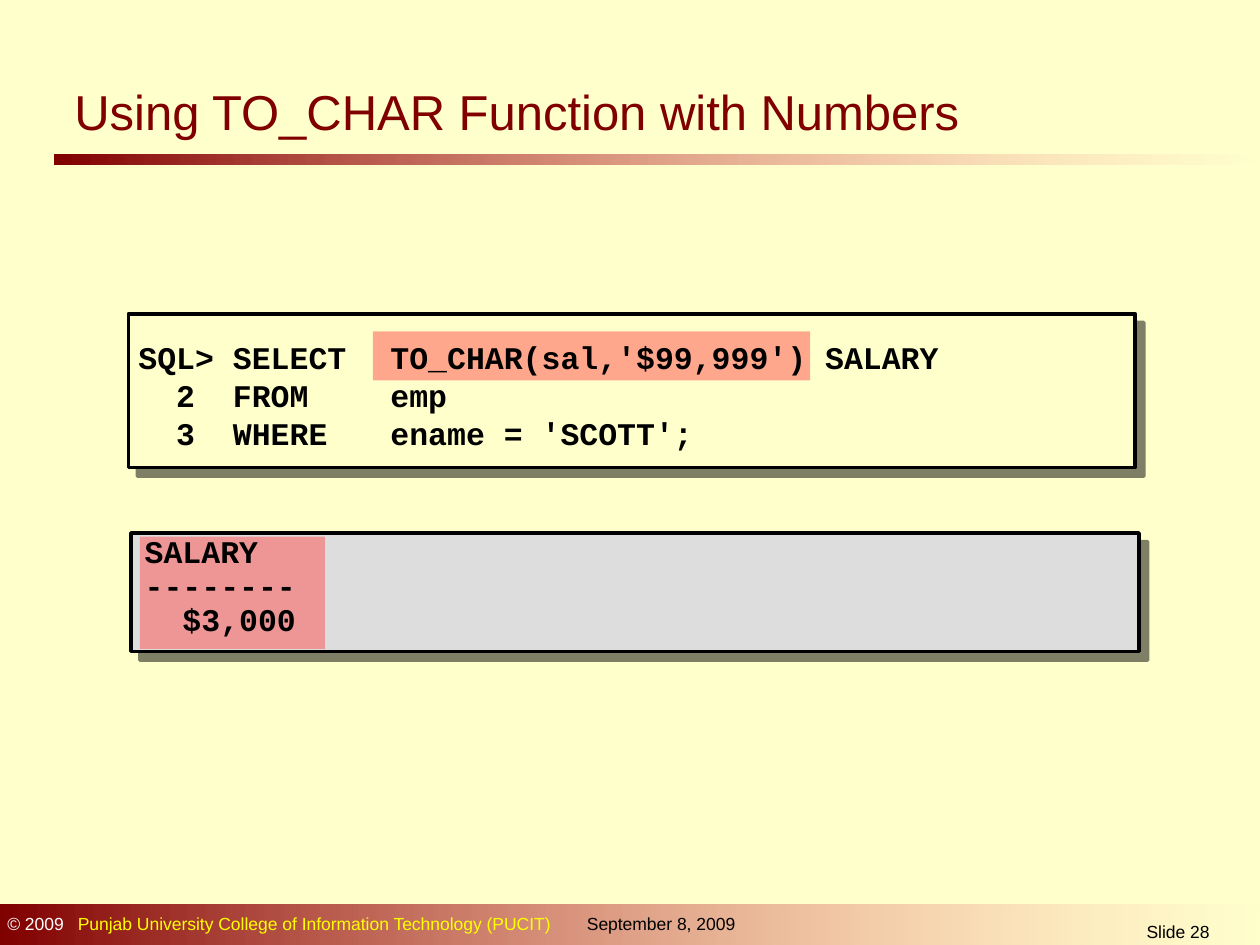
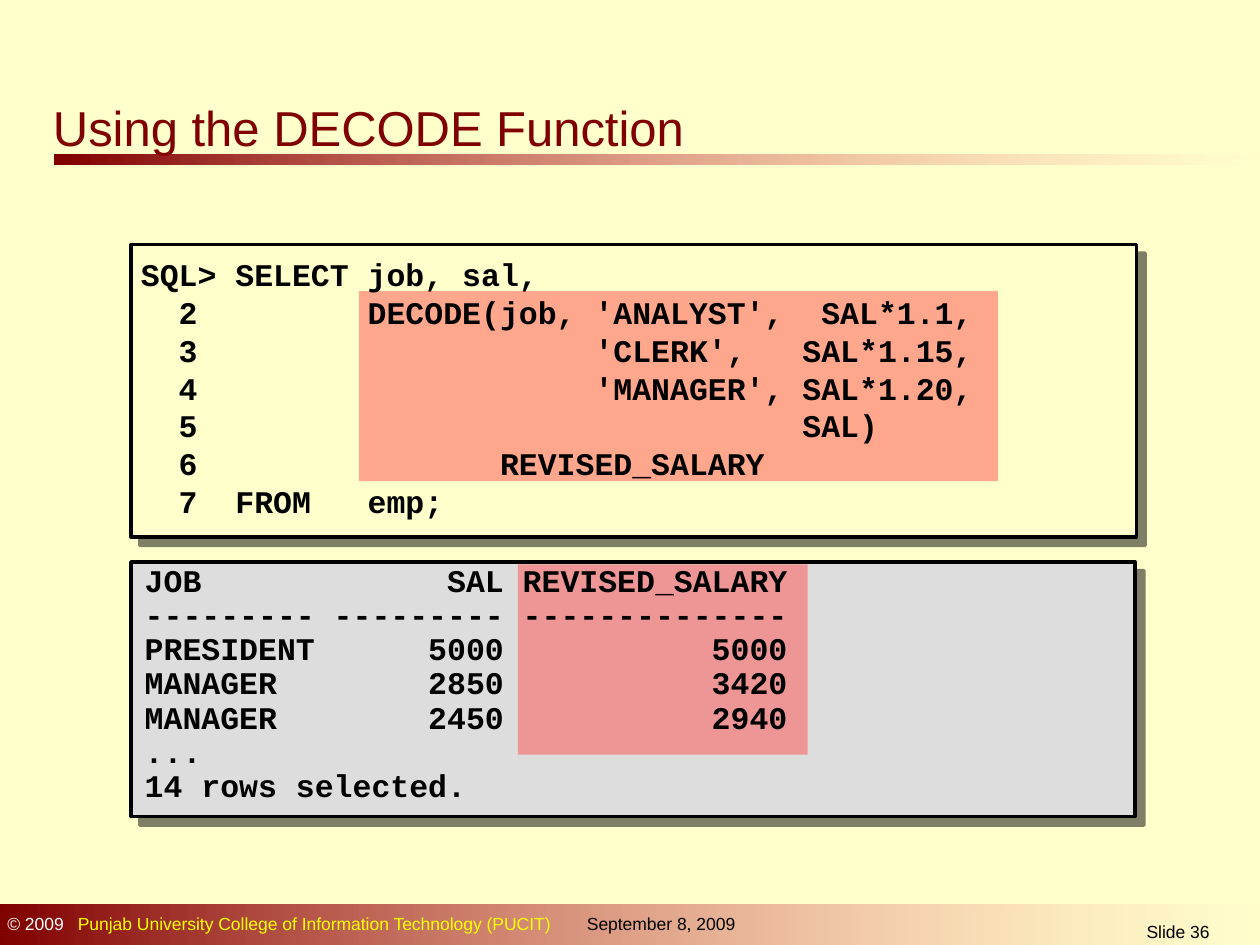
from lxml.etree import SubElement
from pptx import Presentation
from pptx.dml.color import RGBColor
from pptx.enum.shapes import MSO_SHAPE
from pptx.enum.text import MSO_ANCHOR, MSO_AUTO_SIZE, PP_ALIGN
from pptx.oxml.ns import qn
from pptx.util import Inches, Pt

CREAM = RGBColor(0xFF, 0xFF, 0xCC)
MAROON = RGBColor(0x80, 0x00, 0x00)
ROSE = RGBColor(0xFF, 0x85, 0x85)
RED = RGBColor(0xFF, 0x50, 0x50)
GREY = RGBColor(0xDD, 0xDD, 0xDD)
BLACK = RGBColor(0, 0, 0)
WHITE = RGBColor(0xFF, 0xFF, 0xFF)
YELLOW = RGBColor(0xFF, 0xFF, 0)


def fade(color, percent):
    SubElement(color, qn("a:alpha"), val=str(percent * 1000))


def write(frame, lines, size=10, color=BLACK, font="Arial", bold=False,
          align=PP_ALIGN.LEFT, anchor=MSO_ANCHOR.TOP, spacing=None, tab=None):
    frame.word_wrap = True
    frame.auto_size = MSO_AUTO_SIZE.NONE
    frame.vertical_anchor = anchor
    for index, line in enumerate(lines):
        para = frame.add_paragraph() if index else frame.paragraphs[0]
        para.alignment = align
        if tab:
            stops = SubElement(para._p.get_or_add_pPr(), qn("a:tabLst"))
            SubElement(stops, qn("a:tab"), pos=str(Inches(tab)), algn="l")
        if spacing:
            para.line_spacing = spacing
        parts = [(line, color)] if isinstance(line, str) else line
        for words, tint in parts:
            run = para.add_run()
            run.text = words
            run.font.name = font
            run.font.size = Pt(size)
            run.font.bold = bold
            run.font.color.rgb = tint


class Deck:
    def __init__(self):
        self.prs = Presentation()
        self.prs.slide_width = Inches(10)
        self.prs.slide_height = Inches(7.5)
        fill = self.prs.slide_master.background.fill
        fill.solid()
        fill.fore_color.rgb = CREAM

    def start(self, title, box, number):
        self.slide = self.prs.slides.add_slide(self.prs.slide_layouts[5])
        self.band(0.43, 1.23, 9.57, 0.08)
        self.band(0, 7.18, 10.03, 0.35)
        self.text((-0.04, 7.2, 6.46, 0.27), [[
            ("© 2009", WHITE),
            ("\tPunjab University College of Information Technology (PUCIT)", YELLOW),
        ]], tab=0.56)
        self.text((4.56, 7.2, 1.54, 0.27), ["September 8, 2009"])
        self.text((8.31, 7.26, 2.08, 0.24), [f"Slide {number}"], align=PP_ALIGN.CENTER)
        head = self.slide.shapes.title
        head.left, head.top, head.width, head.height = map(Inches, box)
        write(head.text_frame, [title], size=28, color=MAROON)

    def rect(self, *box):
        shape = self.slide.shapes.add_shape(MSO_SHAPE.RECTANGLE, *map(Inches, box))
        shape.shadow.inherit = False
        shape.line.fill.background()
        return shape

    def band(self, *box):
        fill = self.rect(*box).fill
        fill.gradient()
        fill.gradient_angle = 0
        first, last = fill.gradient_stops
        first.color.rgb, first.position = MAROON, 0
        last.color.rgb, last.position = ROSE, 1
        fade(last._gs.find(qn("a:srgbClr")), 0)

    def panel(self, box, color):
        shape = self.rect(*box)
        shape.fill.solid()
        shape.fill.fore_color.rgb = color
        shape.line.color.rgb = BLACK
        shape.line.width = Pt(2)
        effects = shape._element.spPr.find(qn("a:effectLst"))
        shade = SubElement(effects, qn("a:outerShdw"), blurRad="0", dist=str(Pt(7.1)),
                           dir="2700000", algn="ctr", rotWithShape="0")
        fade(SubElement(shade, qn("a:srgbClr"), val=str(BLACK)), 50)

    def mark(self, *box):
        shape = self.rect(*box)
        shape.fill.solid()
        shape.fill.fore_color.rgb = RED
        fade(shape._element.spPr.find(qn("a:solidFill"))[0], 50)

    def text(self, box, lines, **style):
        shape = self.slide.shapes.add_textbox(*map(Inches, box))
        write(shape.text_frame, lines, **style)

    def code(self, box, lines, **style):
        self.text(box, lines, size=18, font="Courier New", bold=True, **style)

    def query(self, box, lines):
        self.code(box, lines, anchor=MSO_ANCHOR.MIDDLE, tab=2)

    def result(self, box, lines):
        self.code(box, lines, spacing=0.9)


def main():
    deck = Deck()

    deck.start("Using TO_CHAR Function with Numbers", (0.49, 0.6, 8.45, 0.49), 28)
    deck.panel((1.02, 2.49, 7.99, 1.22), CREAM)
    deck.panel((1.04, 4.23, 8, 0.94), GREY)
    deck.mark(2.96, 2.63, 3.47, 0.39)
    deck.mark(1.11, 4.26, 1.47, 0.89)
    deck.query((1, 2.35, 8.02, 1.57), [
        "SQL> SELECT\tTO_CHAR(sal,'$99,999') SALARY",
        "  2  FROM\temp",
        "  3  WHERE\tename = 'SCOTT';",
    ])
    deck.result((1.05, 4.21, 7.94, 0.91), ["SALARY", "--------", "  $3,000"])

    deck.start("Using the DECODE Function", (0.32, 0.72, 5.47, 0.51), 36)
    deck.panel((1.04, 1.94, 7.98, 2.32), CREAM)
    deck.panel((1.04, 4.46, 7.97, 2.02), GREY)
    deck.mark(2.85, 2.31, 5.07, 1.51)
    deck.mark(4.11, 4.48, 2.3, 1.51)
    deck.query((1.02, 1.9, 8, 2.35), [
        "SQL> SELECT job, sal,",
        "  2         DECODE(job, 'ANALYST',  SAL*1.1,",
        "  3                     'CLERK',   SAL*1.15,",
        "  4                     'MANAGER', SAL*1.20,",
        "  5                                SAL)",
        "  6                REVISED_SALARY",
        "  7  FROM   emp;",
    ])
    deck.result((1.05, 4.44, 7.95, 1.99), [
        "JOB             SAL REVISED_SALARY",
        "--------- --------- --------------",
        "PRESIDENT      5000           5000",
        "MANAGER        2850           3420",
        "MANAGER        2450           2940",
        "...",
        "14 rows selected.",
    ])

    deck.prs.save("out.pptx")


if __name__ == "__main__":
    main()
